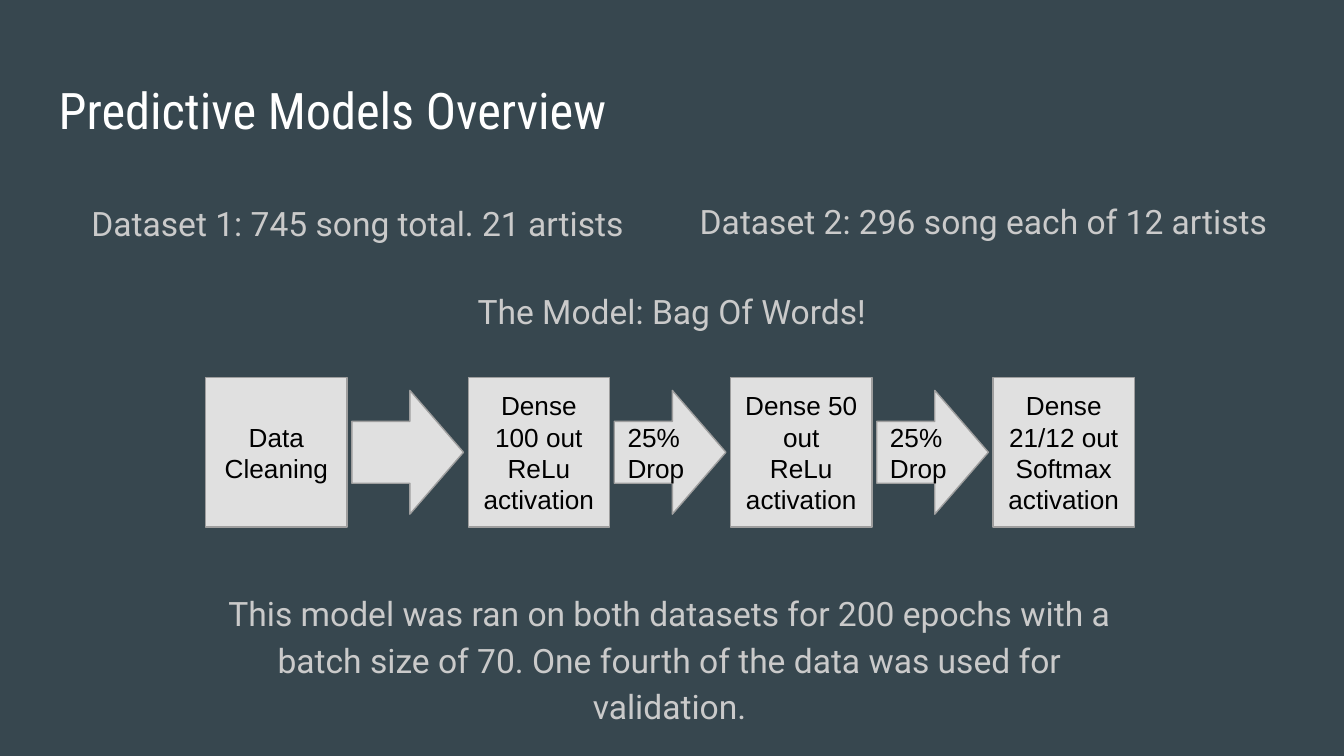
from pptx import Presentation
from pptx import util as u
from pptx.dml import color
from pptx.enum import shapes, text

GROW = text.MSO_AUTO_SIZE.SHAPE_TO_FIT_TEXT
FIXED = text.MSO_AUTO_SIZE.NONE
LEFT, CENTER = text.PP_ALIGN.LEFT, text.PP_ALIGN.CENTER
TOP, MIDDLE = text.MSO_ANCHOR.TOP, text.MSO_ANCHOR.MIDDLE

TITLE = {"name": "Roboto Condensed", "size": u.Pt(27)}
BODY = {"name": "Roboto", "size": u.Pt(18)}
LABEL = {"name": "Arial", "size": u.Pt(14)}
BODY_PARA = {"alignment": CENTER, "line_spacing": 1.15, "space_after": u.Pt(12)}

STEPS = [
    ["Data Cleaning"],
    ["Dense 100 out", "ReLu activation"],
    ["Dense 50 out", "ReLu activation"],
    ["Dense 21/12 out Softmax activation"],
]
DROPS = [[], ["25% Drop"], ["25% Drop"]]


def rgb(value):
    """Return the colour for a hex string."""
    return color.RGBColor.from_string(value)


def apply(target, values):
    """Set each attribute of the target from a dict."""
    for name, value in values.items():
        setattr(target, name, value)


def place(shape, box):
    """Move and size a shape to a box of left, top, width, height in cm."""
    apply(shape, dict(zip(("left", "top", "width", "height"), map(u.Cm, box))))


def write(shape, lines, font, ink, para_format, anchor=TOP, fit=FIXED):
    """Fill a shape with formatted paragraphs."""
    frame = shape.text_frame
    margins = {f"margin_{side}": u.Cm(0.25) for side in ("left", "right", "top", "bottom")}
    apply(frame, {"word_wrap": True, "auto_size": fit, "vertical_anchor": anchor, **margins})
    for index, line in enumerate(lines):
        para = frame.add_paragraph() if index else frame.paragraphs[0]
        apply(para, para_format)
        span = para.add_run()
        span.text = line
        apply(span.font, font)
        span.font.color.rgb = rgb(ink)


def add_title(page, box, line):
    """Move and format the title placeholder."""
    place(page.shapes.title, box)
    write(page.shapes.title, [line], TITLE, "FFFFFF", {"alignment": LEFT})


def add_body(page, box, line, fit=FIXED):
    """Add a centred paragraph of body text."""
    area = page.shapes.add_textbox(0, 0, 0, 0)
    place(area, box)
    write(area, [line], BODY, "CACACA", BODY_PARA, fit=fit)


def add_block(page, kind, box, lines, align):
    """Add one grey labelled shape of the flow."""
    block = page.shapes.add_shape(kind, 0, 0, 0, 0)
    place(block, box)
    block.shadow.inherit = False
    block.fill.solid()
    block.fill.fore_color.rgb = rgb("E0E0E0")
    block.line.color.rgb = rgb("9E9E9E")
    block.line.width = u.Pt(0.75)
    write(block, lines, LABEL, "000000", {"alignment": align}, MIDDLE)
    return block


def add_flow(page, box):
    """Add the model steps at equal pitch, with an arrow in each gap."""
    left, top, width, height = box
    step_width, arrow_width, arrow_height = 2.67, 2.11, 2.34
    pitch = (width - step_width) / (len(STEPS) - 1)
    for index, lines in enumerate(STEPS):
        step_box = (left + index * pitch, top, step_width, height)
        add_block(page, shapes.MSO_SHAPE.RECTANGLE, step_box, lines, CENTER)
    arrow_left = left + (step_width + pitch - arrow_width) / 2
    arrow_top = top + (height - arrow_height) / 2
    for index, lines in enumerate(DROPS):
        arrow_box = (arrow_left + index * pitch, arrow_top, arrow_width, arrow_height)
        arrow = add_block(page, shapes.MSO_SHAPE.RIGHT_ARROW, arrow_box, lines, LEFT)
        arrow.adjustments[0] = 0.5
        arrow.adjustments[1] = 0.48


def main():
    """Build the slide and save the deck."""
    deck = Presentation()
    apply(deck, {"slide_width": u.Cm(25.4), "slide_height": u.Cm(14.29)})
    page = deck.slides.add_slide(deck.slide_layouts.get_by_name("Title Only"))
    page.background.fill.solid()
    page.background.fill.fore_color.rgb = rgb("37474F")
    add_title(page, (0.86, 1.24, 23.67, 1.6), "Predictive Models Overview")
    add_body(page, (0.84, 3.48, 11.84, 1.3), "Dataset 1: 745 song total. 21 artists")
    add_body(page, (12.67, 3.43, 11.84, 1.4), "Dataset 2: 296 song each of 12 artists")
    add_body(page, (0.84, 5.13, 23.72, 1.27), "The Model: Bag Of Words!", GROW)
    add_flow(page, (3.89, 7.14, 17.55, 2.82))
    add_body(
        page,
        (3.89, 10.85, 17.53, 2.16),
        "This model was ran on both datasets for 200 epochs with a batch size of 70. "
        "One fourth of the data was used for validation.",
        GROW,
    )
    deck.save("out.pptx")


if __name__ == "__main__":
    main()
